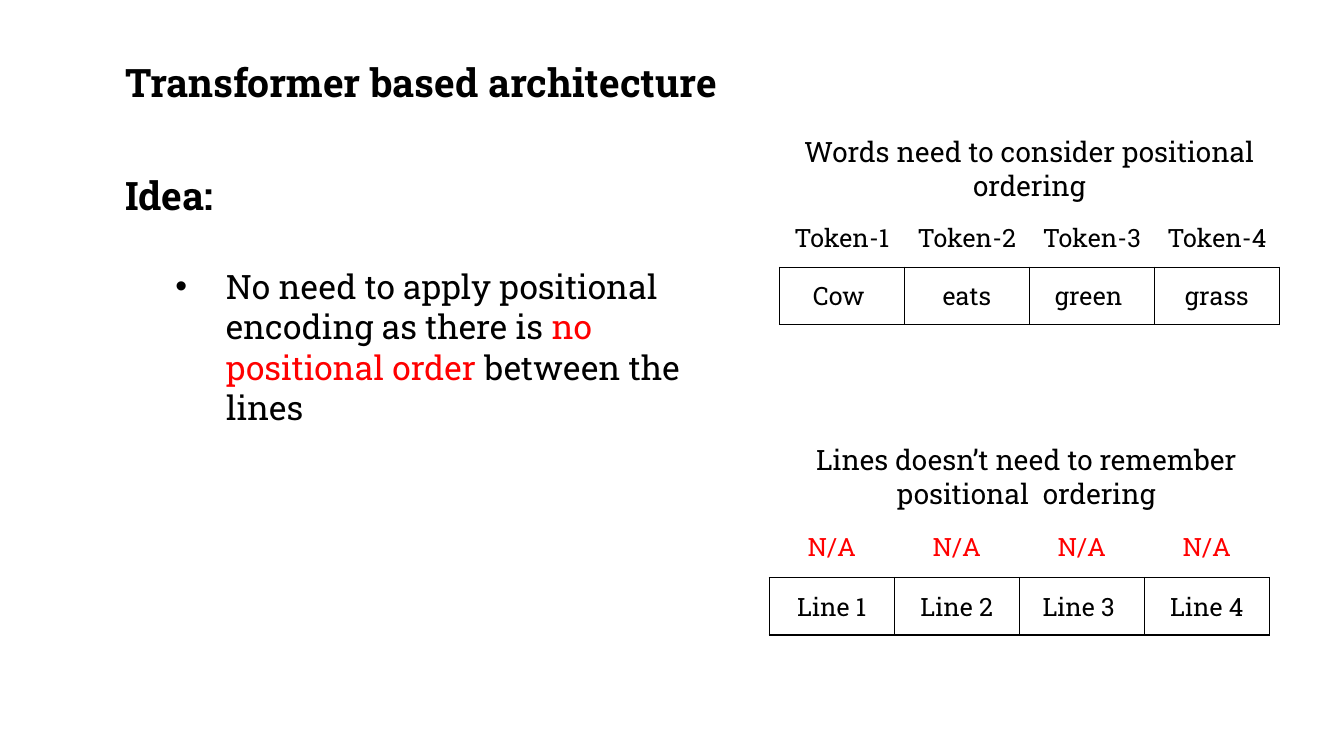
from dataclasses import dataclass

from lxml.etree import SubElement
from pptx import Presentation
from pptx.dml.color import RGBColor
from pptx.enum.text import MSO_ANCHOR, MSO_AUTO_SIZE, PP_ALIGN
from pptx.oxml.ns import qn
from pptx.util import Inches, Pt


@dataclass(frozen=True)
class Theme:
    font: str = "Roboto Slab"
    black: str = "000000"
    red: str = "FF0000"
    heading: int = 28
    body: int = 24
    caption: int = 20
    cell: int = 18
    border: int = 1


THEME = Theme()
TITLE = "Transformer based architecture"
IDEA = "Idea:"
BULLET = [
    ("No need to apply positional encoding as there is ", THEME.black),
    ("no positional order", THEME.red),
    (" between the lines", THEME.black),
]
EXAMPLES = [
    {
        "caption": "Words need to consider positional ordering",
        "caption_box": (7.73, 1.29, 4.96, 0.77),
        "labels": ["Token-1", "Token-2", "Token-3", "Token-4"],
        "label_color": THEME.black,
        "items": ["Cow ", "eats", "green ", "grass"],
        "left": 7.73,
        "label_top": 2.07,
        "item_top": 2.65,
    },
    {
        "caption": "Lines doesn’t need to remember positional  ordering",
        "caption_box": (7.57, 4.34, 5.22, 0.77),
        "labels": ["N/A"] * 4,
        "label_color": THEME.red,
        "items": ["Line 1", "Line 2", "Line 3 ", "Line 4"],
        "left": 7.63,
        "label_top": 5.14,
        "item_top": 5.73,
    },
]
CELL_WIDTH, CELL_HEIGHT = 1.24, 0.57


def place(shape, left, top, width, height):
    shape.left, shape.top = Inches(left), Inches(top)
    shape.width, shape.height = Inches(width), Inches(height)


def prepare_frame(frame, anchor):
    frame.word_wrap = True
    frame.auto_size = MSO_AUTO_SIZE.NONE
    frame.vertical_anchor = anchor


def style_paragraph(paragraph, size, color=THEME.black, bold=False,
                    align=PP_ALIGN.LEFT, before=0):
    paragraph.alignment = align
    paragraph.line_spacing = 1.0
    paragraph.space_before = Pt(before)
    paragraph.font.name = THEME.font
    paragraph.font.size = Pt(size)
    paragraph.font.bold = bold
    paragraph.font.color.rgb = RGBColor.from_string(color)


def set_bullet(paragraph, margin, indent, character=None):
    properties = paragraph._p.get_or_add_pPr()
    properties.set("marL", str(Inches(margin)))
    properties.set("indent", str(Inches(indent)))
    if character:
        SubElement(properties, qn("a:buFont"), typeface="Arial")
        SubElement(properties, qn("a:buChar"), char=character)
    else:
        SubElement(properties, qn("a:buNone"))


def add_borders(cell):
    properties = cell._tc.get_or_add_tcPr()
    for side in ("lnL", "lnR", "lnT", "lnB"):
        line = SubElement(properties, qn(f"a:{side}"), w=str(Pt(THEME.border)))
        fill = SubElement(line, qn("a:solidFill"))
        SubElement(fill, qn("a:srgbClr"), val=THEME.black)


def add_row(slide, words, left, top, color, bordered):
    frame = slide.shapes.add_table(
        1, len(words), Inches(left), Inches(top),
        Inches(CELL_WIDTH * len(words)), Inches(CELL_HEIGHT))
    table = frame.table
    table.first_row = False
    table.horz_banding = False
    for column, word in enumerate(words):
        table.columns[column].width = Inches(CELL_WIDTH)
        cell = table.cell(0, column)
        cell.text = word
        cell.vertical_anchor = MSO_ANCHOR.MIDDLE
        style_paragraph(cell.text_frame.paragraphs[0], THEME.cell, color,
                        align=PP_ALIGN.CENTER)
        if bordered:
            add_borders(cell)
        cell.fill.background()


def add_example(slide, example):
    caption = slide.shapes.add_textbox(0, 0, 0, 0)
    place(caption, *example["caption_box"])
    prepare_frame(caption.text_frame, MSO_ANCHOR.TOP)
    caption.text_frame.text = example["caption"]
    style_paragraph(caption.text_frame.paragraphs[0], THEME.caption,
                    align=PP_ALIGN.CENTER)
    add_row(slide, example["labels"], example["left"], example["label_top"],
            example["label_color"], False)
    add_row(slide, example["items"], example["left"], example["item_top"],
            THEME.black, True)


def main():
    presentation = Presentation()
    presentation.slide_width = Inches(13.33)
    presentation.slide_height = Inches(7.5)
    slide = presentation.slides.add_slide(presentation.slide_layouts[1])

    title = slide.shapes.title
    place(title, 1.14, 0.53, 10.71, 0.57)
    prepare_frame(title.text_frame, MSO_ANCHOR.MIDDLE)
    title.text_frame.text = TITLE
    style_paragraph(title.text_frame.paragraphs[0], THEME.heading, bold=True)

    body = slide.placeholders[1]
    place(body, 1.14, 1.65, 5.82, 2.66)
    prepare_frame(body.text_frame, MSO_ANCHOR.TOP)
    body.text_frame.text = IDEA
    idea = body.text_frame.paragraphs[0]
    style_paragraph(idea, THEME.heading, bold=True)
    set_bullet(idea, 0, 0)

    bullet = body.text_frame.add_paragraph()
    bullet.level = 1
    style_paragraph(bullet, THEME.body, before=34)
    set_bullet(bullet, 1, -0.5, "•")
    for text, color in BULLET:
        run = bullet.add_run()
        run.text = text
        run.font.color.rgb = RGBColor.from_string(color)

    for example in EXAMPLES:
        add_example(slide, example)
    presentation.save("out.pptx")


if __name__ == "__main__":
    main()
